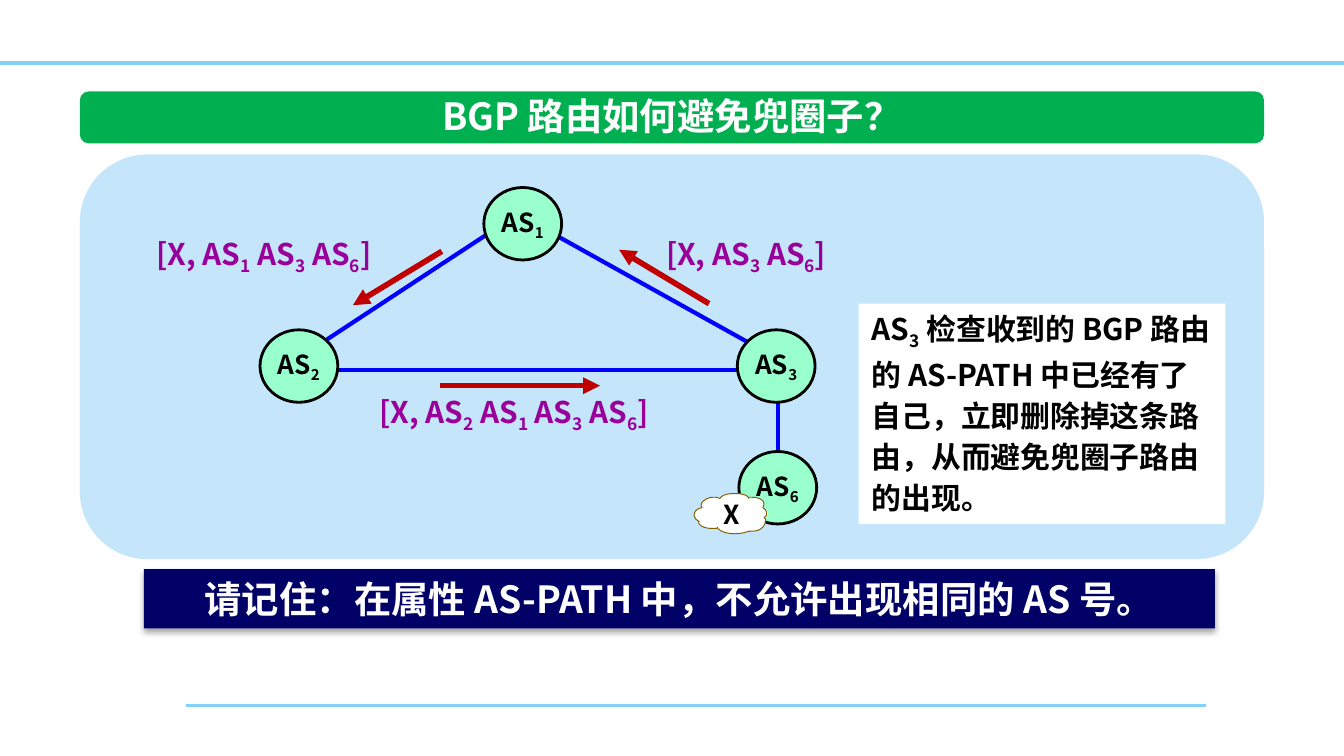
import pptx
import pptx.dml.color, pptx.enum.shapes, pptx.enum.text, pptx.oxml.ns, pptx.util

Cm = pptx.util.Cm
Pt = pptx.util.Pt
RGBColor = pptx.dml.color.RGBColor
Shape = pptx.enum.shapes.MSO_SHAPE
Align = pptx.enum.text.PP_ALIGN
Anchor = pptx.enum.text.MSO_ANCHOR
AutoSize = pptx.enum.text.MSO_AUTO_SIZE

FONT = "Noto Sans CJK SC"
WHITE = RGBColor(0xFF, 0xFF, 0xFF)
BLACK = RGBColor(0x00, 0x00, 0x00)
RULE_BLUE = RGBColor(0x85, 0xD1, 0xF7)
PANEL_BLUE = RGBColor(0xC5, 0xE5, 0xFB)
TITLE_GREEN = RGBColor(0x00, 0xB0, 0x50)
LINK_BLUE = RGBColor(0x00, 0x00, 0xFF)
NODE_GREEN = RGBColor(0x99, 0xFF, 0xCC)
CLOUD_BROWN = RGBColor(0x80, 0x5D, 0x00)
ARROW_RED = RGBColor(0xC0, 0x00, 0x00)
PATH_PURPLE = RGBColor(0x99, 0x00, 0x99)
BANNER_NAVY = RGBColor(0x00, 0x00, 0x66)


def add_element(parent, tag, **attributes):
    """Append a DrawingML element with the given attributes and return it."""
    element = parent.makeelement(pptx.oxml.ns.qn(tag), attributes)
    parent.append(element)
    return element


def write_text(shape, text, size=16, color=BLACK, align=Align.LEFT, anchor=Anchor.TOP,
               spacing=None, wrap=True, grow=True):
    """Write bold text into a shape; parts between tildes become subscripts."""
    frame = shape.text_frame
    frame.word_wrap = wrap
    frame.vertical_anchor = anchor
    frame.auto_size = AutoSize.SHAPE_TO_FIT_TEXT if grow else AutoSize.NONE
    para = frame.paragraphs[0]
    para.alignment = align
    para.line_spacing = Pt(spacing) if spacing else None
    for index, part in enumerate(text.split("~")):
        if part:
            span = para.add_run()
            span.text = part
            span.font.size = Pt(size)
            span.font.bold = True
            span.font.color.rgb = color
            span.font.name = FONT
            properties = span._r.get_or_add_rPr()
            add_element(properties, "a:ea", typeface=FONT)
            if index % 2:
                properties.set("baseline", "-25000")


def add_label(page, left, top, width, height, text, **text_format):
    """Add a text box holding formatted text."""
    box = page.shapes.add_textbox(Cm(left), Cm(top), Cm(width), Cm(height))
    write_text(box, text, **text_format)


def paint(shape, fill, line, weight):
    """Set fill and outline of a shape and take its shadow away."""
    shape.shadow.inherit = False
    shape.fill.solid()
    shape.fill.fore_color.rgb = fill
    if line is None:
        shape.line.fill.background()
    else:
        shape.line.color.rgb = line
        shape.line.width = Pt(weight)


def add_block(page, kind, left, top, width, height, fill, line=None, weight=1.5):
    """Add a painted preset shape and return it."""
    shape = page.shapes.add_shape(kind, Cm(left), Cm(top), Cm(width), Cm(height))
    paint(shape, fill, line, weight)
    return shape


def add_line(page, start_x, start_y, end_x, end_y, color, weight, arrow=False):
    """Add a straight line, with an arrowhead at its end on request."""
    line = page.shapes.add_connector(pptx.enum.shapes.MSO_CONNECTOR.STRAIGHT,
                                     Cm(start_x), Cm(start_y), Cm(end_x), Cm(end_y))
    line.line.color.rgb = color
    line.line.width = Pt(weight)
    properties = line._element.spPr
    if arrow:
        add_element(properties.find(pptx.oxml.ns.qn("a:ln")), "a:tailEnd", type="triangle")
    add_element(properties, "a:effectLst")


def add_title(page, left, top, width, height):
    """Draw the title bar with its centred heading."""
    add_block(page, Shape.ROUNDED_RECTANGLE, left, top, width, height, TITLE_GREEN)
    add_label(page, left + 3.89, top - 0.1, width - 7.78, 1.12, "BGP 路由如何避免兜圈子？",
              size=20, color=WHITE, align=Align.CENTER)


def add_cloud(page, left, top):
    """Draw a cloud from white puffs and outlined lobes, with its letter."""
    puffs = [(.46, .03, .61, .33), (.13, .1, .46, .33), (0, .3, .3, .25), (.08, .41, .48, .28), (.43, .46, .71, .33),
             (.86, .1, .46, .25), (.94, .28, .46, .25), (.89, .33, .43, .41), (.25, .2, .89, .41)]
    for x, y, width, height in puffs:
        add_block(page, Shape.OVAL, left + x, top + y, width, height, WHITE)
    lobes = [
        [(.48, .13), (.53, .05), (.64, .03), (.76, .03), (.89, .03), (1.02, .05), (1.04, .13), (.76, .18)],
        [(.15, .3), (.15, .28), (.13, .28), (.13, .25), (.13, .18), (.25, .1), (.36, .1), (.41, .1), (.46, .1), (.48, .13), (.36, .25)],
        [(.43, .69), (.41, .69), (.36, .69), (.33, .69), (.2, .69), (.08, .64), (.08, .56), (.08, .56), (.08, .56), (.08, .53), (.33, .56)],
        [(1.04, .1), (1.07, .1), (1.09, .1), (1.09, .1), (1.22, .1), (1.32, .15), (1.32, .23), (1.32, .25), (1.3, .28), (1.3, .3), (1.09, .23)],
        [(1.3, .3), (1.35, .33), (1.37, .36), (1.37, .41), (1.37, .43), (1.37, .46), (1.32, .48), (1.12, .41)],
        [(1.32, .48), (1.35, .51), (1.35, .51), (1.35, .53), (1.35, .66), (1.24, .74), (1.12, .74), (1.09, .74), (1.07, .74), (1.04, .74), (1.12, .53)],
        [(.1, .56), (.03, .53), (0, .48), (0, .43), (0, .36), (.08, .3), (.15, .3), (.15, .43)],
        [(1.04, .74), (.99, .76), (.89, .79), (.76, .79), (.61, .79), (.46, .74), (.43, .66), (.76, .64)]]
    for *curve, hub in lobes:
        arc = [curve[0]]
        for points in zip(curve[::3], curve[1::3], curve[2::3], curve[3::3]):
            for t in (0.2, 0.4, 0.6, 0.8, 1):
                arc.append([(1 - t) ** 3 * a + 3 * t * (1 - t) ** 2 * b + 3 * t * t * (1 - t) * c + t ** 3 * d
                            for a, b, c, d in zip(*points)])
        for outline, line in ((arc + [hub], None), (arc, CLOUD_BROWN)):
            corners = [(Cm(left + x), Cm(top + y)) for x, y in outline]
            builder = page.shapes.build_freeform(*corners[0])
            builder.add_line_segments(corners[1:], close=line is None)
            paint(builder.convert_to_shape(), WHITE, line, 0.5)
    add_label(page, left + 0.31, top, 0.86, 0.86, "X", size=14, wrap=False)


def add_network(page, left, top):
    """Draw the autonomous systems, their links and the advertised paths."""
    links = [(4.07, 4.08, 13.36, 4.08), (12.86, 3.68, 8.21, 1.09),
             (4.27, 3.76, 8.21, 1.17), (13.19, 4.04, 13.19, 6.81)]
    for start_x, start_y, end_x, end_y in links:
        add_line(page, left + start_x, top + start_y, left + end_x, top + end_y, LINK_BLUE, 2.25)
    node_width, node_height = 1.47, 1.37
    nodes = [(1, 8.37, 1.31), (3, 13.16, 4), (2, 4.14, 4), (6, 13.19, 6.3)]
    for number, center_x, center_y in nodes:
        node = add_block(page, Shape.OVAL, left + center_x - node_width / 2,
                         top + center_y - node_height / 2, node_width, node_height,
                         NODE_GREEN, BLACK)
        write_text(node, f"AS~{number}~", size=14, align=Align.CENTER,
                   anchor=Anchor.MIDDLE, wrap=False, grow=False)
    add_cloud(page, left + 11.61, top + 6.38)
    paths = [((11.89, 2.82, 10.19, 1.8), (10.83, 1.33, 3.89, 1.04), (3, 6)),
             ((6.84, 1.83, 5.16, 2.85), (1.2, 1.33, 5.08, 1.12), (1, 3, 6)),
             ((6.81, 4.37, 9.83, 4.37), (5.41, 4.32, 6.25, 1.12), (2, 1, 3, 6))]
    for (start_x, start_y, end_x, end_y), (label_x, label_y, width, height), systems in paths:
        add_line(page, left + start_x, top + start_y, left + end_x, top + end_y,
                 ARROW_RED, 3, arrow=True)
        hops = " ".join(f"AS~{number}~" for number in systems)
        add_label(page, left + label_x, top + label_y, width, height, f"[X, {hops}]",
                  color=PATH_PURPLE, spacing=24, wrap=False)


def add_panel(page, left, top, width, height):
    """Draw the panel with the network and the explanation beside it."""
    add_block(page, Shape.ROUNDED_RECTANGLE, left, top, width, height, PANEL_BLUE)
    add_network(page, left, top)
    note = add_block(page, Shape.RECTANGLE, left + 14.72, top + 2.82, 6.93, 4.17, WHITE)
    write_text(note, "AS~3~ 检查收到的 BGP 路由的 AS-PATH 中已经有了自己，"
                     "立即删除掉这条路由，从而避免兜圈子路由的出现。", spacing=22)


def add_banner(page, left, top, width, height):
    """Draw the closing reminder on a bar with a soft shadow."""
    banner = add_block(page, Shape.RECTANGLE, left, top, width, height, BANNER_NAVY)
    effects = banner._element.spPr.find(pptx.oxml.ns.qn("a:effectLst"))
    shadow = add_element(effects, "a:outerShdw", blurRad="40000", dist="23000",
                         dir="5400000", rotWithShape="0")
    add_element(add_element(shadow, "a:srgbClr", val=str(BLACK)), "a:alpha", val="35000")
    write_text(banner, "请记住：在属性 AS-PATH 中，不允许出现相同的 AS 号。",
               size=20, color=WHITE, align=Align.CENTER)


def main():
    """Build the deck and save it."""
    deck = pptx.Presentation()
    deck.slide_width, deck.slide_height = Cm(25.4), Cm(14.29)
    page = deck.slides.add_slide(deck.slide_layouts[6])
    add_line(page, 3.52, 13.34, 22.8, 13.34, RULE_BLUE, 1.5)
    add_line(page, 0, 1.19, 25.4, 1.19, RULE_BLUE, 2)
    add_panel(page, 1.51, 2.92, 22.38, 7.65)
    add_title(page, 1.51, 1.73, 22.38, 0.98)
    add_banner(page, 2.72, 10.76, 20.24, 1.12)
    deck.save("out.pptx")


if __name__ == "__main__":
    main()
